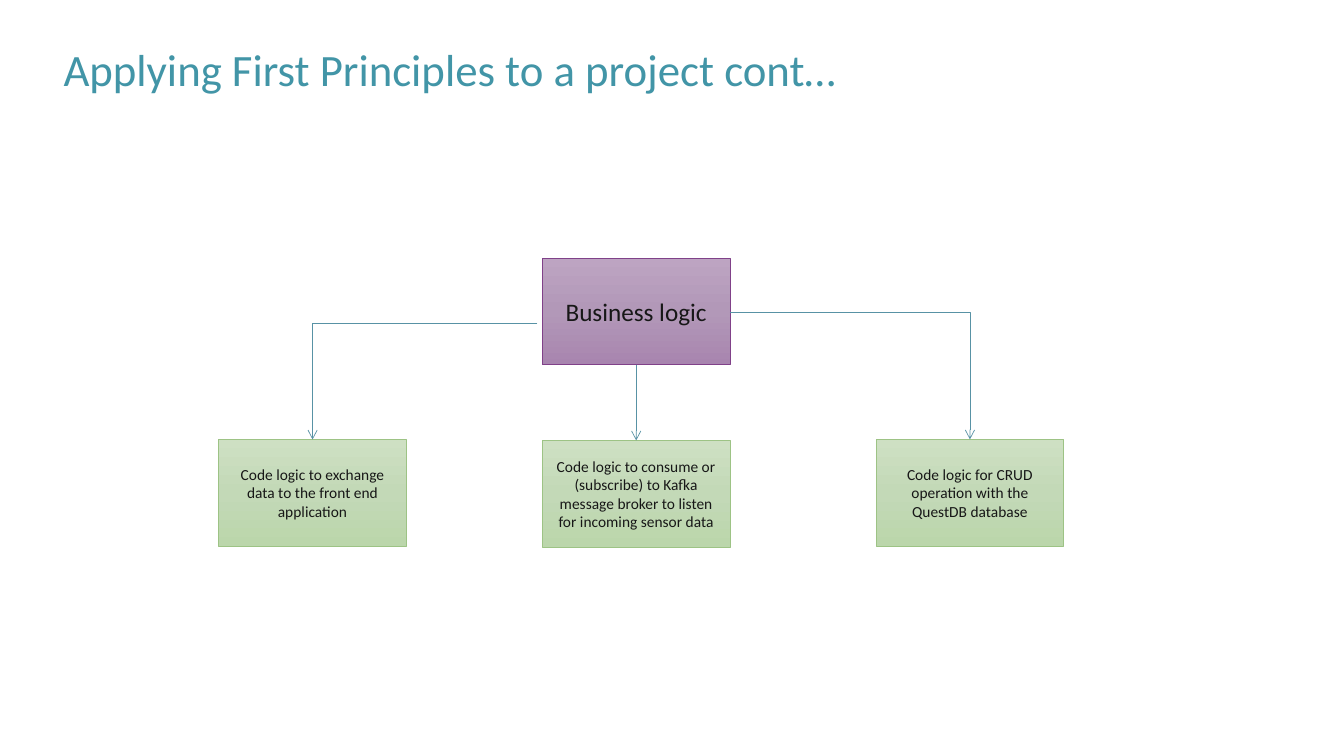
from copy import deepcopy

from pptx import Presentation
from pptx.dml.color import RGBColor
from pptx.enum.shapes import MSO_CONNECTOR as Connector, MSO_SHAPE as Shape
from pptx.enum.text import MSO_ANCHOR as Anchor, PP_ALIGN as Align
from pptx.oxml.ns import qn
from pptx.util import Inches, Pt

SLIDE_W, SLIDE_H = 13.33, 7.5
BOX_W, BOX_H = 1.86, 1.06
CENTRE_X = 5.38
ROOT_Y, TASK_Y = 2.56, 4.36
TITLE_COLOUR, TEXT_COLOUR, ARROW_COLOUR = "4295A7", "171717", "5892A5"
PURPLE = (("BDA4C2", "B298B8", "A885AF"), "804189")
GREEN = (("CEE0C3", "C3D9B7", "BBD6AB"), "9DC385")
TASKS = (
    (2.17, TASK_Y, "Code logic to exchange data to the front end application"),
    (CENTRE_X, TASK_Y + 0.01, "Code logic to consume or (subscribe) to Kafka "
     "message broker to listen for incoming sensor data"),
    (8.69, TASK_Y, "Code logic for CRUD operation with the QuestDB database"),
)


def colour(hex_value):
    return RGBColor.from_string(hex_value)


def write(shape, text, size, text_colour=TEXT_COLOUR, align=Align.CENTER,
          anchor=Anchor.MIDDLE, line_spacing=None):
    frame = shape.text_frame
    frame.word_wrap = True
    frame.vertical_anchor = anchor
    paragraph = frame.paragraphs[0]
    paragraph.alignment = align
    paragraph.line_spacing = line_spacing
    run = paragraph.add_run()
    run.text = text
    run.font.name = "Calibri"
    run.font.size = Pt(size)
    run.font.color.rgb = colour(text_colour)


def fill_gradient(shape, colours):
    """Fill from top to bottom with evenly spaced stops."""
    shape.fill.gradient()
    shape.fill.gradient_angle = 270
    stop_list = shape.fill._fill._gradFill.find(qn("a:gsLst"))
    stop_list.insert(1, deepcopy(stop_list[0]))
    for index, stop in enumerate(shape.fill.gradient_stops):
        stop.position = index / (len(colours) - 1)
        stop.color.rgb = colour(colours[index])


def add_box(slide, left, top, text, size, palette):
    stops, outline = palette
    shape = slide.shapes.add_shape(Shape.RECTANGLE, Inches(left), Inches(top),
                                   Inches(BOX_W), Inches(BOX_H))
    shape.shadow.inherit = False
    fill_gradient(shape, stops)
    shape.line.color.rgb = colour(outline)
    shape.line.width = Pt(0.5)
    write(shape, text, size)


def add_arrow(slide, start, end):
    """Draw a straight arrow, or one with a single corner above its end."""
    bent = start[0] != end[0]
    kind = Connector.ELBOW if bent else Connector.STRAIGHT
    connector = slide.shapes.add_connector(
        kind, *(Inches(value) for value in (*start, *end)))
    connector.line.color.rgb = colour(ARROW_COLOUR)
    connector.line.width = Pt(0.5)
    properties = connector._element.spPr
    if bent:
        properties.find(qn("a:prstGeom")).set("prst", "bentConnector2")
    if end[0] < start[0]:
        # A half turn with a vertical flip mirrors the elbow to the left
        transform = properties.find(qn("a:xfrm"))
        transform.attrib.pop("flipH", None)
        transform.set("rot", "10800000")
        transform.set("flipV", "1")
    line = connector.line._get_or_add_ln()
    line.makeelement(qn("a:tailEnd"))
    tail = line.makeelement(qn("a:tailEnd"), {"type": "arrow"})
    line.append(tail)
    properties.append(properties.makeelement(qn("a:effectLst")))


def add_title(slide, text):
    title = slide.shapes.title
    title.left, title.top = Inches(0.53), Inches(0.42)
    title.width, title.height = Inches(10.4), Inches(0.74)
    write(title, text, 32, TITLE_COLOUR, Align.LEFT, Anchor.TOP, 0.9)


def add_tree(slide):
    # Root and task boxes
    add_box(slide, CENTRE_X, ROOT_Y, "Business logic", 18, PURPLE)
    for left, top, text in TASKS:
        add_box(slide, left, top, text, 11, GREEN)

    # Arrows from the root's sides and bottom to the tops of the tasks
    starts = ((CENTRE_X - 0.05, 3.21),
              (CENTRE_X + BOX_W / 2, ROOT_Y + BOX_H),
              (CENTRE_X + BOX_W, 3.1))
    for start, (left, top, _) in zip(starts, TASKS):
        add_arrow(slide, start, (left + BOX_W / 2, top))


def main():
    presentation = Presentation()
    presentation.slide_width = Inches(SLIDE_W)
    presentation.slide_height = Inches(SLIDE_H)
    slide = presentation.slides.add_slide(presentation.slide_layouts[5])
    add_title(slide, "Applying First Principles to a project cont…")
    add_tree(slide)
    presentation.save("out.pptx")


if __name__ == "__main__":
    main()
